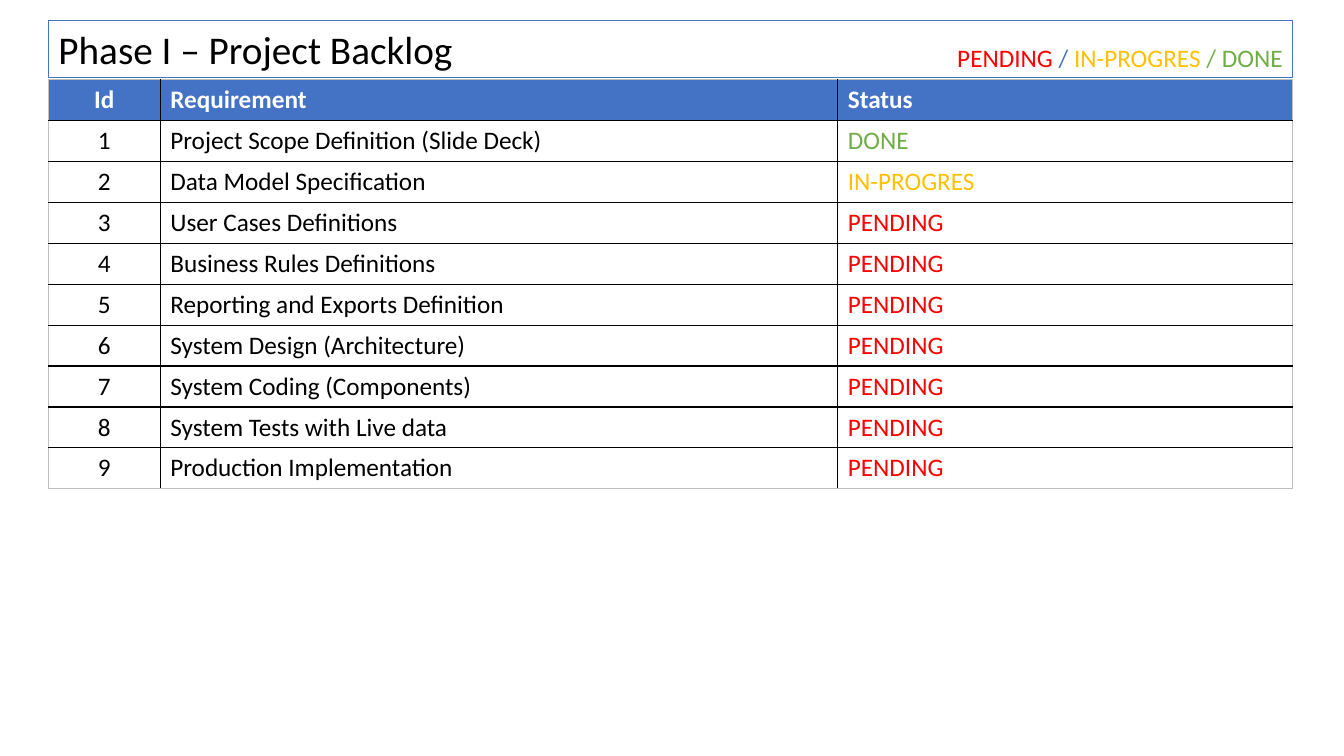
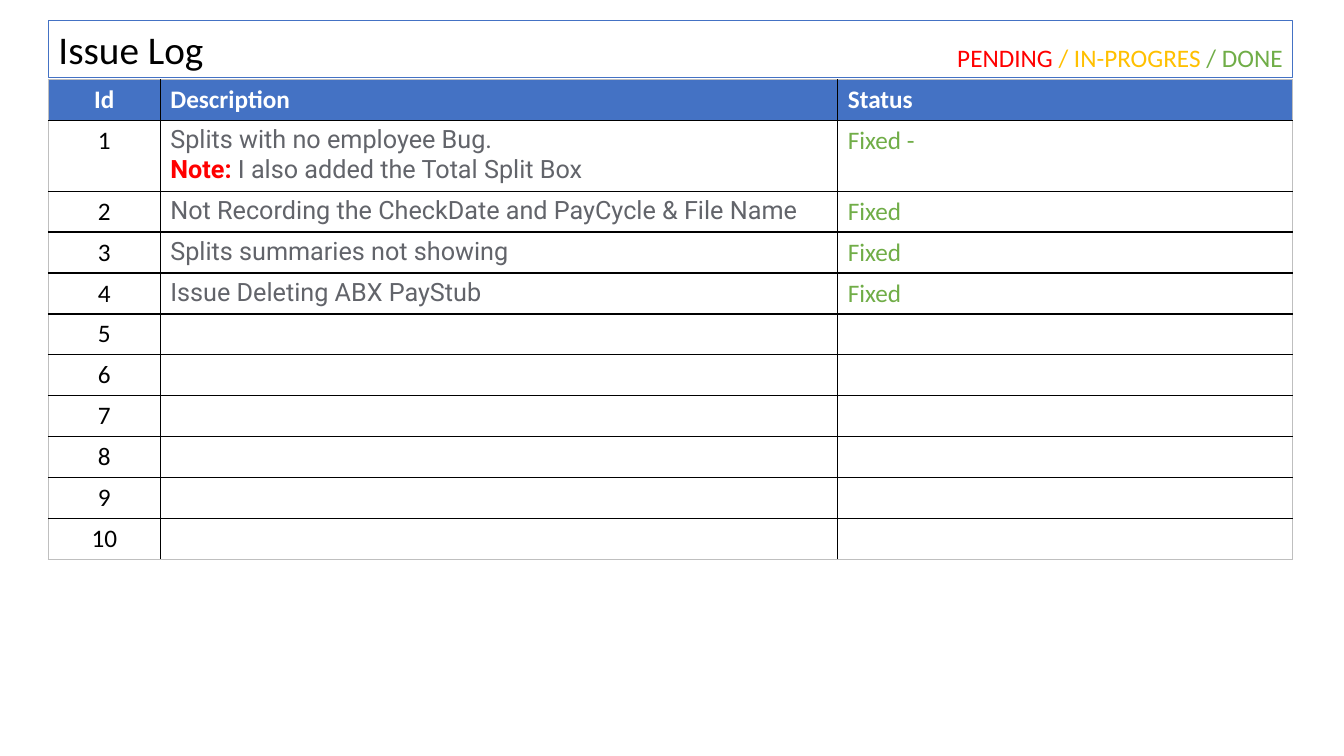
from lxml import etree
from pptx import Presentation
from pptx.dml.color import RGBColor
from pptx.enum.text import MSO_ANCHOR as ANCHOR, PP_ALIGN as ALIGN
from pptx.oxml.ns import qn
from pptx.util import Inches, Pt

BLUE, RED, AMBER, GREEN = "4472C4", "FF0000", "FFC000", "70AD47"
BLACK, WHITE, GREY, EDGE = "000000", "FFFFFF", "62646A", "BFBFBF"
LEFT, WIDTH = Inches(0.48), Inches(12.34)
COL_WIDTHS = [Inches(w) for w in (1.11, 6.72, 4.51)]
ROW_HEIGHT = Inches(4.06) // 10
TALL_ROW = Inches(0.69)


def rgb(color):
    return RGBColor.from_string(color)


def add_runs(p, runs, size=18, font="Calibri", bold=False):
    """Add (text, colour) runs; a third item overrides bold."""
    for text, color, *own_bold in runs:
        r = p.add_run()
        r.text = text
        r.font.name = font
        r.font.size = Pt(size)
        r.font.bold = own_bold[0] if own_bold else bold
        r.font.color.rgb = rgb(color)


STATUS_COLORS = {"DONE": GREEN, "IN-PROGRES": AMBER, "PENDING": RED}
backlog = [
    ("Project Scope Definition (Slide Deck)", "DONE"),
    ("Data Model Specification", "IN-PROGRES"),
    ("User Cases Definitions", "PENDING"),
    ("Business Rules Definitions", "PENDING"),
    ("Reporting and Exports Definition", "PENDING"),
    ("System Design (Architecture)", "PENDING"),
    ("System Coding (Components)", "PENDING"),
    ("System Tests with Live data", "PENDING"),
    ("Production Implementation", "PENDING"),
]
issues = [
    ([[("Splits with no employee Bug.", GREY)],
      [("Note: ", RED, True), ("I also added the Total Split Box", GREY)]], "Fixed -"),
    ([[("Not Recording the CheckDate and PayCycle & File Name", GREY)]], "Fixed"),
    ([[("Splits summaries not showing", GREY)]], "Fixed"),
    ([[("Issue Deleting ABX PayStub", GREY)]], "Fixed"),
]
issues += [([], "")] * (10 - len(issues))

# Each row is (paragraphs of the middle column, status, status colour)
slides = [
    {"title": "Phase I – Project Backlog", "heading": "Requirement", "font": "Calibri",
     "legend": [("PENDING ", RED), ("/ ", BLUE), ("IN-PROGRES ", AMBER), ("/ DONE", GREEN)],
     "rows": [([[(text, BLACK)]], status, STATUS_COLORS[status]) for text, status in backlog]},
    {"title": "Issue Log", "heading": "Description", "font": "Roboto",
     "legend": [("PENDING ", RED), ("/ IN-PROGRES ", AMBER), ("/ DONE", GREEN)],
     "rows": [(paragraphs, status, GREEN) for paragraphs, status in issues]},
]

prs = Presentation()
prs.slide_width, prs.slide_height = Inches(13.33), Inches(7.5)

for content in slides:
    s = prs.slides.add_slide(prs.slide_layouts[5])

    title = s.shapes.title
    title.left, title.top, title.width, title.height = LEFT, Inches(0.2), WIDTH, Inches(0.57)
    title.line.color.rgb = rgb(BLUE)
    title.line.width = Pt(0.75)
    tf = title.text_frame
    tf.vertical_anchor = ANCHOR.MIDDLE
    p = tf.paragraphs[0]
    p.alignment = ALIGN.LEFT
    p.line_spacing = 1.0
    add_runs(p, [(content["title"], BLACK)], size=28)

    legend = s.shapes.add_textbox(LEFT, Inches(0.37), WIDTH, Inches(0.4))
    tf = legend.text_frame
    tf.word_wrap = True
    p = tf.paragraphs[0]
    p.alignment = ALIGN.RIGHT
    add_runs(p, content["legend"])

    grid = [[[[(text, WHITE)]] for text in ("Id", content["heading"], "Status")]]
    for number, (paragraphs, status, color) in enumerate(content["rows"], 1):
        grid.append([[[(str(number), BLACK)]], paragraphs, [[(status, color)]] if status else []])

    last_row, last_col = len(grid) - 1, len(COL_WIDTHS) - 1
    table = s.shapes.add_table(len(grid), len(COL_WIDTHS), LEFT, Inches(0.79),
                               WIDTH, ROW_HEIGHT * len(grid)).table
    table.horz_banding = False
    for column, width in zip(table.columns, COL_WIDTHS):
        column.width = width

    for i, row in enumerate(grid):
        table.rows[i].height = TALL_ROW if len(row[1]) > 1 else ROW_HEIGHT
        for j, paragraphs in enumerate(row):
            cell = table.cell(i, j)
            cell.fill.solid()
            cell.fill.fore_color.rgb = rgb(BLUE if i == 0 else WHITE)
            tf = cell.text_frame
            for k, runs in enumerate(paragraphs):
                p = tf.add_paragraph() if k else tf.paragraphs[0]
                p.alignment = ALIGN.CENTER if j == 0 else ALIGN.LEFT
                add_runs(p, runs, font=content["font"] if i and j == 1 else "Calibri",
                         bold=i == 0)

            outer = {"lnL": j == 0, "lnR": j == last_col, "lnT": i == 0, "lnB": i == last_row}
            tc_pr = cell._tc.get_or_add_tcPr()
            for k, (side, is_outer) in enumerate(outer.items()):
                ln = etree.Element(qn(f"a:{side}"), w=str(Pt(1)))
                fill = etree.SubElement(ln, qn("a:solidFill"))
                etree.SubElement(fill, qn("a:srgbClr"), val=EDGE if is_outer else BLACK)
                tc_pr.insert(k, ln)

prs.save("out.pptx")
